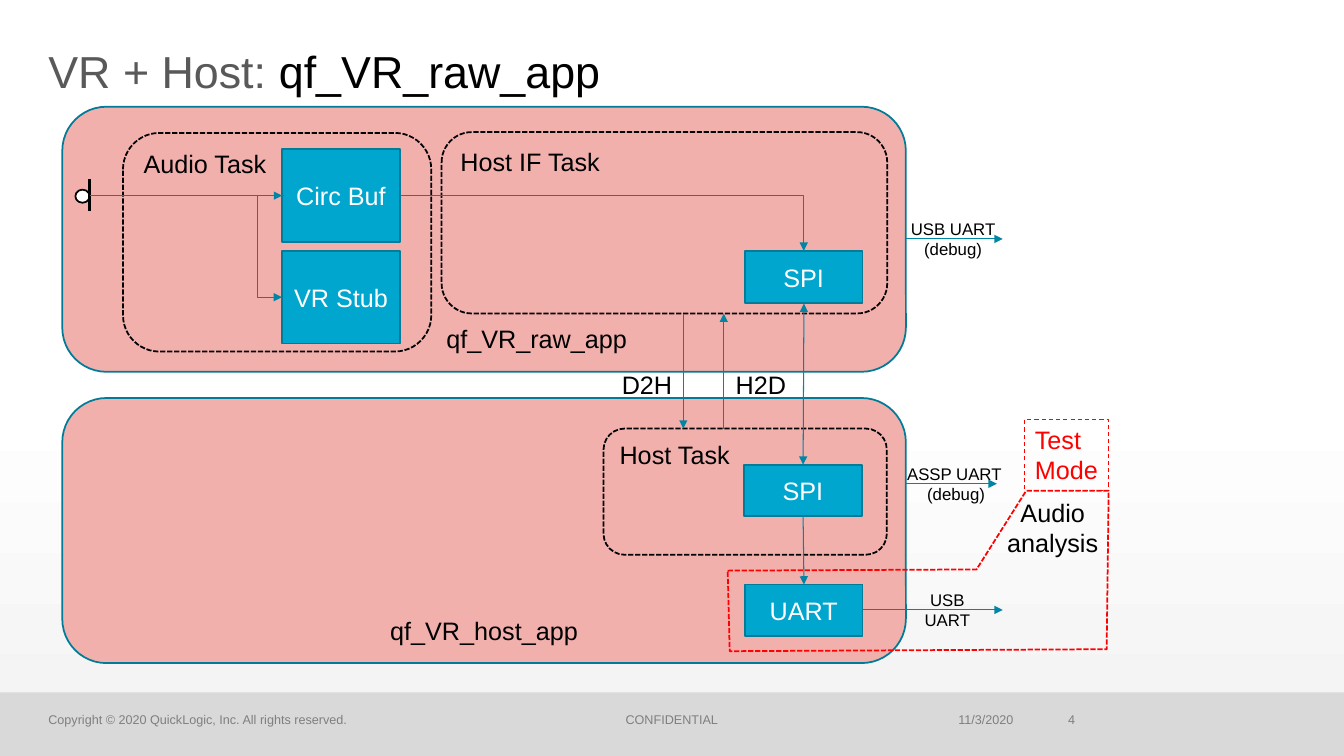
from dataclasses import dataclass
from typing import Optional

from lxml import etree
from pptx import Presentation
from pptx.dml.color import RGBColor
from pptx.enum import dml, shapes, text
from pptx.oxml import ns
from pptx.util import Cm, Pt

KIND = shapes.MSO_SHAPE
LINK = shapes.MSO_CONNECTOR
DASH = dml.MSO_LINE
ALIGN = text.PP_ALIGN
TOP, MID, LOW = text.MSO_ANCHOR.TOP, text.MSO_ANCHOR.MIDDLE, text.MSO_ANCHOR.BOTTOM


@dataclass(frozen=True)
class Theme:
    font: str = "Arial"
    black: str = "000000"
    white: str = "FFFFFF"
    fade: str = "F2F2F2"
    band: str = "D9D9D9"
    foot: str = "7F7F7F"
    head: str = "595959"
    pink: str = "F2B0AD"
    blue: str = "00A6CE"
    edge: str = "007B98"
    wire: str = "0085A5"
    red: str = "FF0000"
    title: float = 32
    body: float = 18
    note: float = 12
    tiny: float = 9
    thin: float = 0.75
    pen: float = 1.25
    bold: float = 2.25


T = Theme()


@dataclass(frozen=True)
class Box:
    words: str
    left: float
    top: float
    width: float
    height: float
    kind: Optional[KIND] = None
    fill: Optional[str] = None
    line: Optional[str] = None
    pen: float = T.pen
    dash: Optional[DASH] = None
    ink: str = T.black
    size: float = T.body
    align: ALIGN = ALIGN.CENTER
    anchor: TOP = TOP
    wrap: bool = True
    inset: float = 0.25


@dataclass(frozen=True)
class Wire:
    x1: float
    y1: float
    x2: float
    y2: float
    ends: tuple = ("tailEnd",)
    ink: str = T.wire
    pen: float = T.thin
    kind: LINK = LINK.STRAIGHT


def paint(shape, fill: Optional[str], line: Optional[str], pen: float, dash) -> None:
    shape.shadow.inherit = False
    if fill:
        shape.fill.solid()
        shape.fill.fore_color.rgb = RGBColor.from_string(fill)
    else:
        shape.fill.background()
    if line:
        shape.line.color.rgb = RGBColor.from_string(line)
        shape.line.width = Pt(pen)
        if dash:
            shape.line.dash_style = dash
    else:
        shape.line.fill.background()


def style(run, ink: str, size: float) -> None:
    run.font.name = T.font
    run.font.size = Pt(size)
    run.font.color.rgb = RGBColor.from_string(ink)


def draw(slide, box: Box):
    area = [Cm(n) for n in (box.left, box.top, box.width, box.height)]
    if box.kind is None:
        shape = slide.shapes.add_textbox(*area)
    else:
        shape = slide.shapes.add_shape(box.kind, *area)
        paint(shape, box.fill, box.line, box.pen, box.dash)
    if box.words:
        frame = shape.text_frame
        frame.text = box.words
        frame.word_wrap = box.wrap
        frame.vertical_anchor = box.anchor
        frame.margin_left = Cm(box.inset)
        for para in frame.paragraphs:
            para.alignment = box.align
            for run in para.runs:
                style(run, box.ink, box.size)
    return shape


def join(slide, wire: Wire):
    link = slide.shapes.add_connector(
        wire.kind, *(Cm(n) for n in (wire.x1, wire.y1, wire.x2, wire.y2)))
    link.line.color.rgb = RGBColor.from_string(wire.ink)
    link.line.width = Pt(wire.pen)
    for end in wire.ends:
        tip = etree.SubElement(link.line._get_or_add_ln(), ns.qn("a:" + end))
        tip.set("type", "triangle")
    etree.SubElement(link._element.spPr, ns.qn("a:effectLst"))
    return link


def app(words: str, top: float, inset: float = 0.25) -> Box:
    return Box(words, 1.57, top, 21.26, 6.68, KIND.ROUNDED_RECTANGLE,
               T.pink, T.edge, anchor=LOW, inset=inset)


def task(words: str, *area: float) -> Box:
    return Box(words, *area, KIND.ROUNDED_RECTANGLE, line=T.black,
               dash=DASH.SQUARE_DOT, align=ALIGN.LEFT)


def block(words: str, left: float, top: float, height: float) -> Box:
    return Box(words, left, top, 2.97, height, KIND.RECTANGLE,
               T.blue, T.edge, ink=T.white, anchor=MID)


def foot(words: str, left: float, top: float, width: float, height: float,
         align: ALIGN = ALIGN.LEFT) -> Box:
    return Box(words, left, top, width, height, ink=T.foot, size=T.tiny,
               align=align, anchor=LOW, wrap=align == ALIGN.CENTER)


def note(words: str, left: float, top: float, width: float) -> Box:
    return Box(words, left, top, width, 1.27, size=T.note)


BACK = [
    Box("", 0, 17.45, 33.87, 1.6, KIND.RECTANGLE, T.band),
    foot("CONFIDENTIAL", 12.47, 17.6, 8.92, 0.84, ALIGN.CENTER),
    foot("4", 26.67, 17.6, 1.04, 0.84),
    foot("11/3/2020", 23.9, 17.81, 2.11, 0.63),
    foot("Copyright © 2020 QuickLogic, Inc. All rights reserved.", 0.97, 17.81, 8.13, 0.63),
    app("qf_VR_host_app", 10.03),
    app("qf_VR_raw_app", 2.69, 2.9),
    task("Host IF Task", 11.13, 3.33, 11.23, 4.57),
    task("Audio Task", 3.1, 3.35, 7.77, 5.51),
    task("Host Task", 15.21, 10.8, 7.14, 3.18),
    Box("", 1.9, 4.78, 0.36, 0.33, KIND.OVAL, T.white, T.black),
    block("VR Stub", 7.11, 6.32, 2.34),
    block("SPI", 18.75, 11.71, 1.3),
    block("UART", 18.77, 14.73, 1.3),
]
WIRES = [
    Wire(2.26, 4.52, 2.26, 5.31, (), T.black, T.bold),
    Wire(2.26, 4.93, 7.11, 4.93),
    Wire(20.26, 7.65, 20.24, 11.71, ("headEnd", "tailEnd")),
    Wire(20.24, 13.01, 20.26, 14.73),
    Wire(21.74, 15.37, 25.27, 15.37),
    Wire(17.22, 7.9, 17.22, 10.8),
    Wire(18.24, 10.8, 18.24, 7.9),
    Wire(22.83, 6.02, 25.27, 6.02),
    Wire(22.83, 12.19, 25.12, 12.19),
]
NOTES = [
    Box("Audio\nanalysis", 25.12, 12.4, 2.82, 1.8, wrap=False),
    note("USB UART\n(debug)", 22.61, 5.38, 2.82),
    note("USB UART", 22.81, 14.73, 2.13),
    Box("D2H", 15.42, 9.17, 1.83, 1.02, align=ALIGN.LEFT),
    Box("H2D", 18.29, 9.19, 1.83, 1.02, align=ALIGN.LEFT),
    Box("Test\nMode", 25.83, 10.57, 2.11, 1.8, KIND.RECTANGLE, line=T.red,
        pen=T.thin, dash=DASH.DASH, ink=T.red, align=ALIGN.LEFT, wrap=False),
]
ZONE = [(18.34, 14.38), (24.61, 14.35), (25.86, 12.37),
        (27.94, 12.37), (27.89, 16.36), (18.39, 16.41)]


def main() -> None:
    deck = Presentation()
    deck.slide_width, deck.slide_height = Cm(33.87), Cm(19.05)
    slide = deck.slides.add_slide(deck.slide_layouts[6])

    wash = slide.background.fill
    wash.gradient()
    wash.gradient_angle = 270
    for stop, place, ink in zip(wash.gradient_stops, (0.53, 1), (T.white, T.fade)):
        stop.position = place
        stop.color.rgb = RGBColor.from_string(ink)

    for box in BACK:
        draw(slide, box)
    buf = draw(slide, block("Circ Buf", 7.11, 3.76, 2.34))
    port = draw(slide, block("SPI", 18.77, 6.32, 1.32))
    for wire in WIRES:
        join(slide, wire)

    fork = join(slide, Wire(7.15, 4.93, 7.11, 7.49, kind=LINK.ELBOW))
    guide = etree.SubElement(fork._element.spPr.prstGeom.get_or_add_avLst(), ns.qn("a:gd"))
    guide.set("name", "adj1")
    guide.set("fmla", "val 1625000")
    bend = join(slide, Wire(10.08, 4.93, 20.26, 6.32, kind=LINK.ELBOW))
    bend._element.spPr.prstGeom.set("prst", "bentConnector2")
    bend.begin_connect(buf, 3)
    bend.end_connect(port, 0)

    title = draw(slide, Box("VR + Host: ", 0.97, 0.94, 31.78, 1.85, ink=T.head,
                            size=T.title, align=ALIGN.LEFT, anchor=MID))
    para = title.text_frame.paragraphs[0]
    para.line_spacing = 0.9
    name = para.add_run()
    name.text = "qf_VR_raw_app"
    style(name, T.black, T.title)

    for box in NOTES:
        draw(slide, box)
    debug = draw(slide, note("ASSP UART\n(debug)", 22.61, 11.56, 2.97))
    debug.text_frame.paragraphs[0].alignment = ALIGN.LEFT

    pts = [(Cm(x), Cm(y)) for x, y in ZONE]
    path = slide.shapes.build_freeform(*pts[0])
    path.add_line_segments(pts[1:])
    paint(path.convert_to_shape(), None, T.red, T.pen, DASH.SQUARE_DOT)
    deck.save("out.pptx")


if __name__ == "__main__":
    main()
